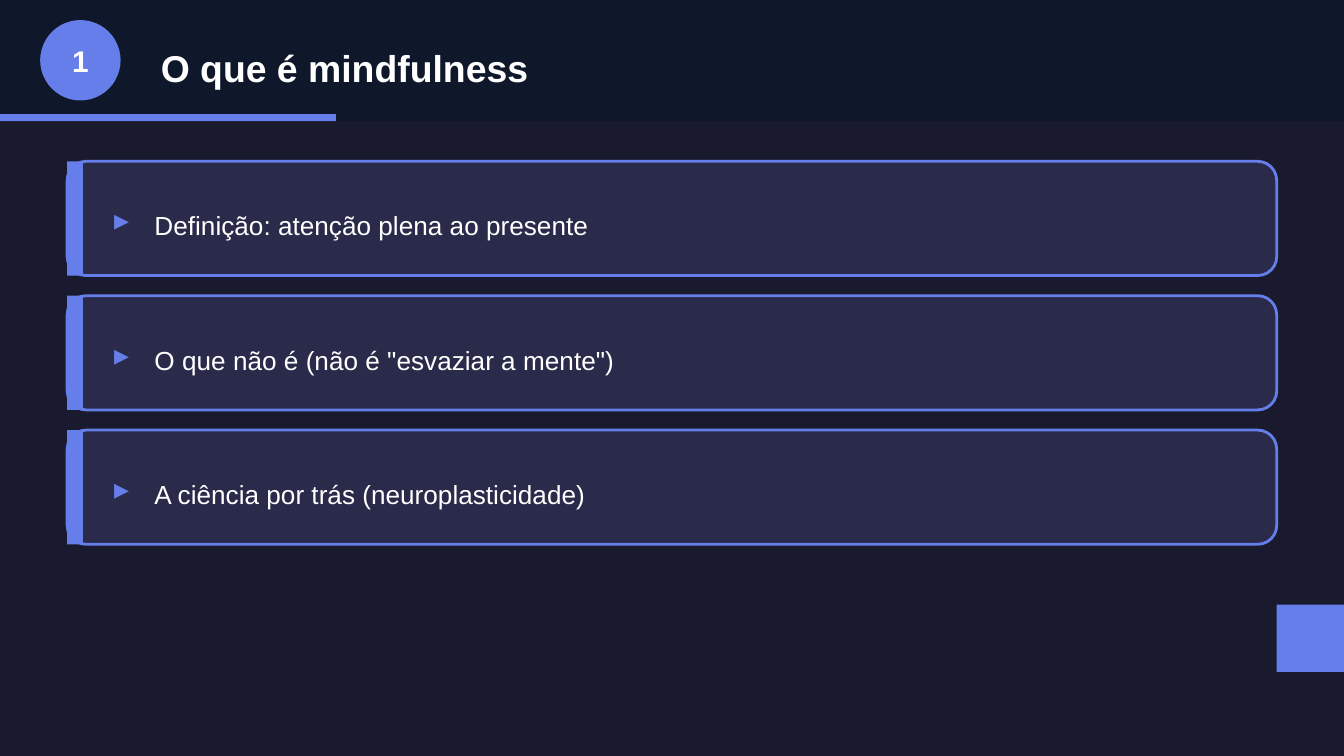
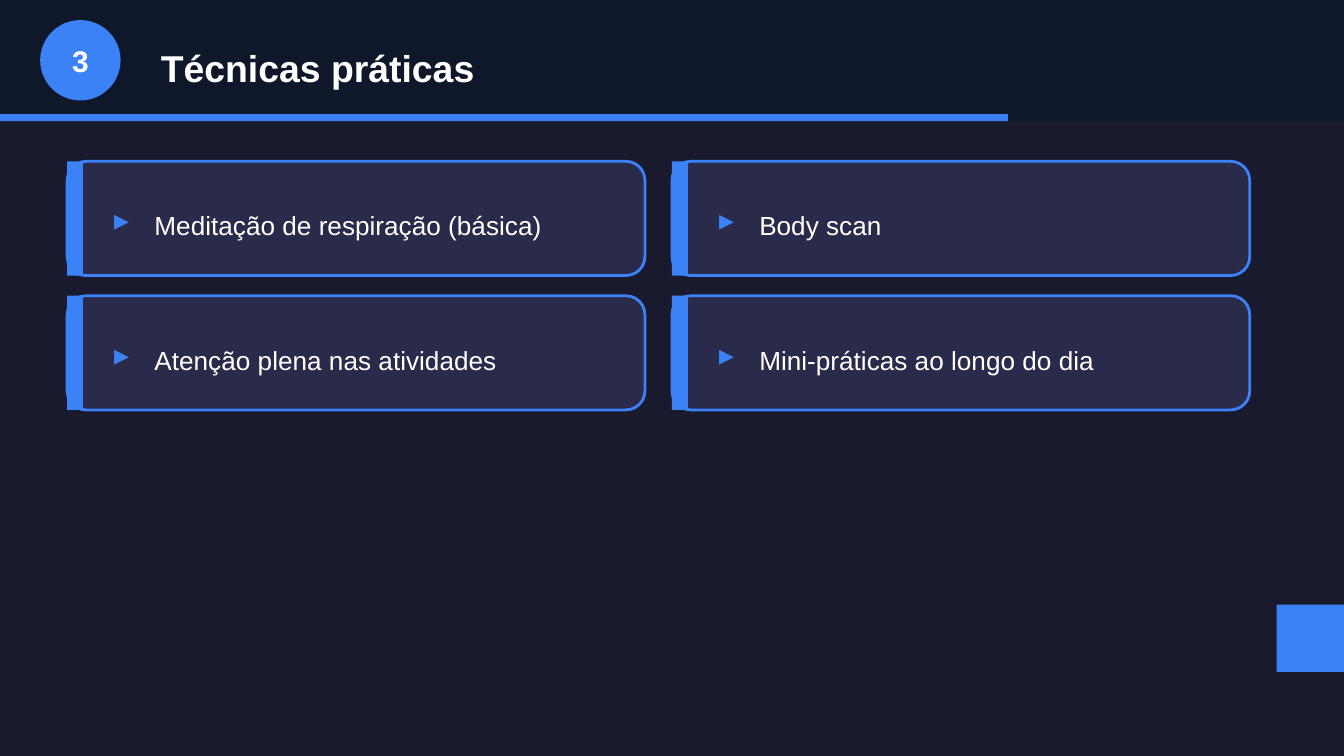
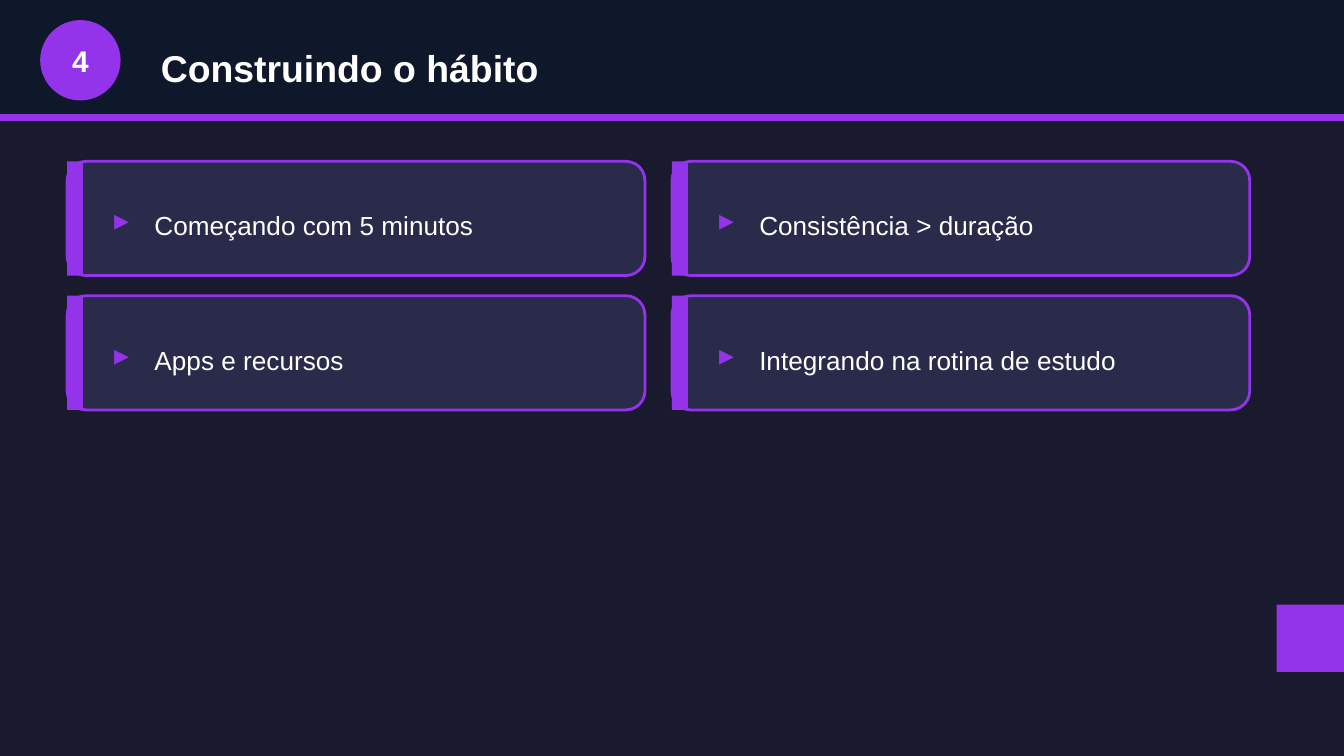
from collections import namedtuple

from pptx import Presentation
from pptx.dml.color import RGBColor
from pptx.enum.shapes import MSO_SHAPE
from pptx.enum.text import MSO_ANCHOR, PP_ALIGN
from pptx.util import Cm, Pt

# All box measures are in centimetres
Box = namedtuple("Box", "left top width height")

COLORS = {
    "background": "1A1A2E",
    "header": "0F172A",
    "card": "2A2A4A",
    "text": "FFFFFF",
    "indigo": "667EEA",
    "blue": "3B82F6",
    "purple": "9333EA",
}
FONT = "Arial"
SLIDE_WIDTH, SLIDE_HEIGHT = 25.4, 14.29
SECTION_COUNT = 4

HEADER = Box(0, 0, SLIDE_WIDTH, 2.29)
CONTENT_LEFT, CONTENT_TOP = 1.27, 3.05
CARD_HEIGHT = 2.16
CARD_WIDTHS = {1: 22.86, 2: 10.92}  # by number of columns
COLUMN_STEP, ROW_STEP = 11.43, 2.54
CORNER = Box(24.13, 11.43, 1.27, 1.27)

SECTIONS = [
    (1, "O que é mindfulness", "indigo", 1, [
        "Definição: atenção plena ao presente",
        'O que não é (não é "esvaziar a mente")',
        "A ciência por trás (neuroplasticidade)",
    ]),
    (3, "Técnicas práticas", "blue", 2, [
        "Meditação de respiração (básica)",
        "Body scan",
        "Atenção plena nas atividades",
        "Mini-práticas ao longo do dia",
    ]),
    (4, "Construindo o hábito", "purple", 2, [
        "Começando com 5 minutos",
        "Consistência > duração",
        "Apps e recursos",
        "Integrando na rotina de estudo",
    ]),
]


def rgb(color):
    return RGBColor.from_string(COLORS[color])


def place(box):
    return [Cm(length) for length in box]


def inside(box, left, top, width, height):
    return Box(box.left + left, box.top + top, width, height)


def add_block(slide, kind, box, fill, outline=None):
    shape = slide.shapes.add_shape(kind, *place(box))
    shape.shadow.inherit = False
    shape.fill.solid()
    shape.fill.fore_color.rgb = rgb(fill)
    if outline:
        shape.line.color.rgb = rgb(outline)
        shape.line.width = Pt(1.5)
    else:
        shape.line.fill.background()


def add_text(slide, box, text, size, color="text", bold=False, align=PP_ALIGN.LEFT):
    text_frame = slide.shapes.add_textbox(*place(box)).text_frame
    text_frame.word_wrap = True
    text_frame.vertical_anchor = MSO_ANCHOR.MIDDLE
    paragraph = text_frame.paragraphs[0]
    paragraph.alignment = align
    run = paragraph.add_run()
    run.text = text
    run.font.name = FONT
    run.font.size = Pt(size)
    run.font.bold = bold
    run.font.color.rgb = rgb(color)


def add_header(slide, box, number, title, accent):
    add_block(slide, MSO_SHAPE.RECTANGLE, box, "header")
    # Progress bar along the lower edge
    progress = inside(box, 0, box.height - 0.13, box.width * number / SECTION_COUNT, 0.13)
    add_block(slide, MSO_SHAPE.RECTANGLE, progress, accent)
    # Number badge and title
    add_block(slide, MSO_SHAPE.OVAL, inside(box, 0.76, 0.38, 1.52, 1.52), accent)
    add_text(slide, inside(box, 0.76, 0.64, 1.52, 1.02), str(number), 16,
             bold=True, align=PP_ALIGN.CENTER)
    add_text(slide, inside(box, 2.79, 0.64, 21.59, 1.27), title, 20, bold=True)


def add_card(slide, box, label, accent):
    add_block(slide, MSO_SHAPE.ROUNDED_RECTANGLE, box, "card", outline=accent)
    add_block(slide, MSO_SHAPE.RECTANGLE, inside(box, 0, 0, 0.3, box.height), accent)
    add_text(slide, inside(box, 0.64, 0.64, 0.76, 0.89), "▸", 16, accent, bold=True)
    add_text(slide, inside(box, 1.4, 0.64, box.width - 2.03, 1.14), label, 14)


def add_section_slide(presentation, number, title, accent, columns, topics):
    slide = presentation.slides.add_slide(presentation.slide_layouts[6])
    slide.background.fill.solid()
    slide.background.fill.fore_color.rgb = rgb("background")
    add_header(slide, HEADER, number, title, accent)
    # Topic cards, filled row by row
    for index, topic in enumerate(topics):
        row, column = divmod(index, columns)
        card = Box(CONTENT_LEFT + column * COLUMN_STEP, CONTENT_TOP + row * ROW_STEP,
                   CARD_WIDTHS[columns], CARD_HEIGHT)
        add_card(slide, card, topic, accent)
    # Corner accent
    add_block(slide, MSO_SHAPE.RECTANGLE, CORNER, accent)


def main():
    presentation = Presentation()
    presentation.slide_width = Cm(SLIDE_WIDTH)
    presentation.slide_height = Cm(SLIDE_HEIGHT)
    for section in SECTIONS:
        add_section_slide(presentation, *section)
    presentation.save("out.pptx")


if __name__ == "__main__":
    main()
